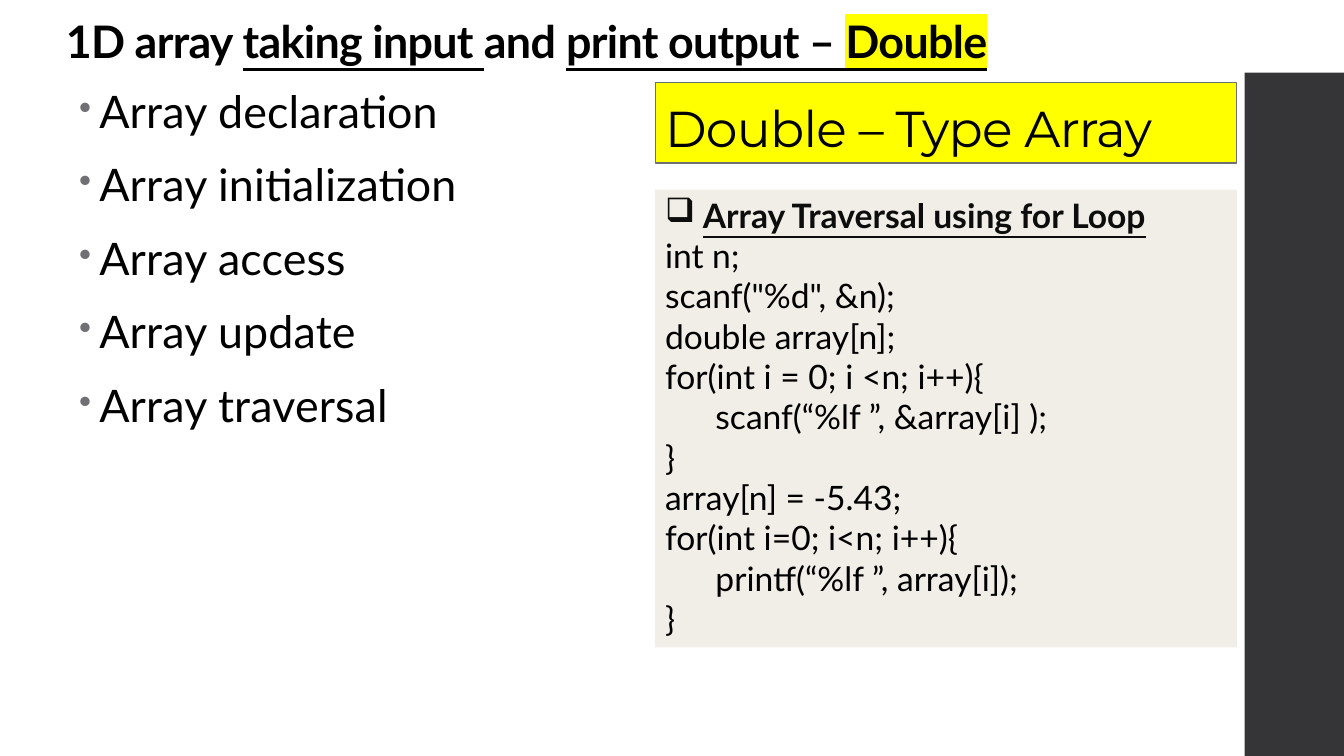
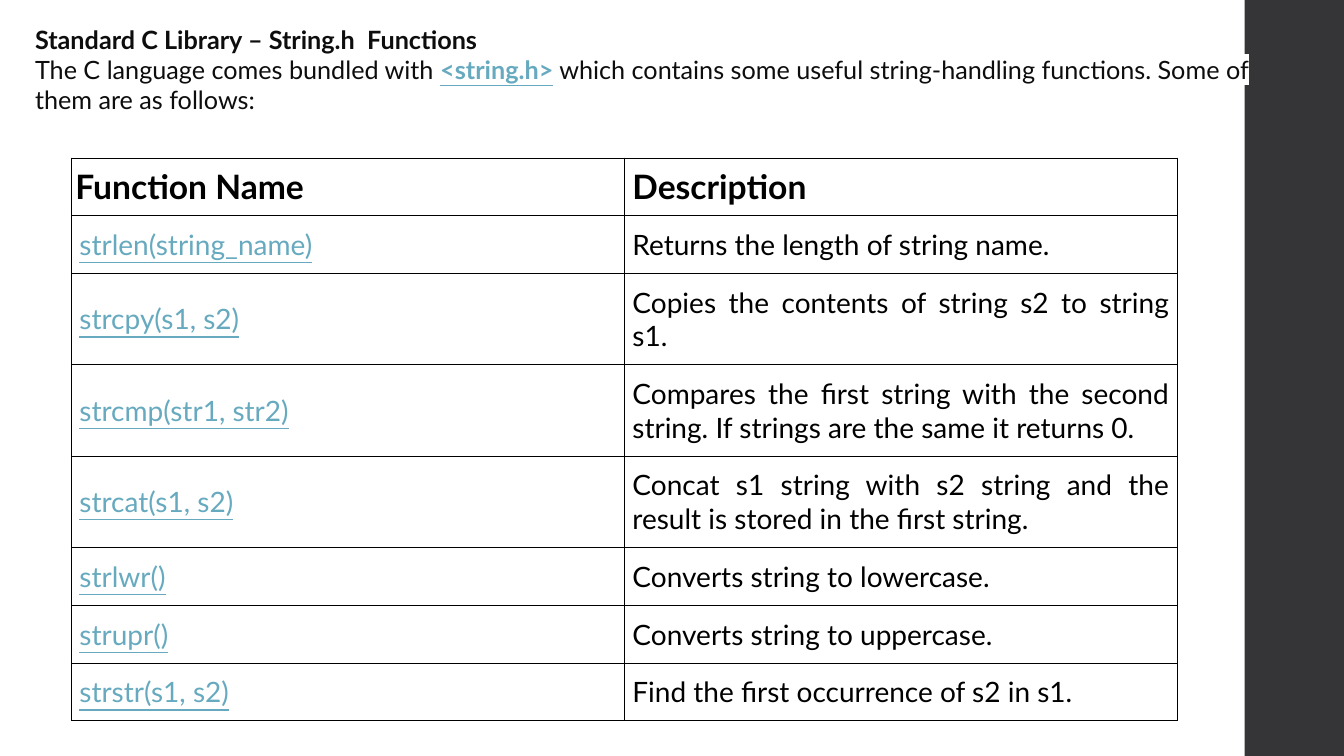
from collections.abc import Sequence
from dataclasses import dataclass, replace

from lxml.etree import SubElement
from pptx import Presentation
from pptx.dml.color import RGBColor
from pptx.enum.shapes import MSO_SHAPE as Preset
from pptx.enum.text import MSO_ANCHOR as Anchor, PP_ALIGN as Align
from pptx.oxml import parse_xml
from pptx.oxml.ns import nsdecls, qn
from pptx.util import Pt


@dataclass(frozen=True)
class Theme:
    text_font: str = "Lato"
    banner_font: str = "Montserrat"
    black: str = "000000"
    ink: str = "0D0D0D"
    white: str = "FFFFFF"
    sidebar: str = "353537"
    panel: str = "F1EDE7"
    yellow: str = "FFFF00"
    gray: str = "6F6F74"
    link: str = "67AABF"
    banner_size: float = 36
    title_size: float = 32
    code_size: float = 24
    cell_size: float = 20
    intro_size: float = 18


THEME = Theme()
PAGE_WIDTH, PAGE_HEIGHT = 960, 540


@dataclass(frozen=True)
class Area:
    left: float
    top: float
    width: float
    height: float

    def lengths(self) -> tuple[Pt, Pt, Pt, Pt]:
        return Pt(self.left), Pt(self.top), Pt(self.width), Pt(self.height)


@dataclass(frozen=True)
class Span:
    text: str
    size: float
    color: str = THEME.black
    bold: bool = False
    underline: bool = False
    highlight: str = ""
    spacing: float = 0
    font: str = THEME.text_font


@dataclass(frozen=True)
class Bullet:
    char: str
    indent: float
    color: str = ""
    percent: int = 100


@dataclass(frozen=True)
class Line:
    spans: Sequence[Span]
    bullet: Bullet | None = None
    line_spacing: float = 1.0
    before: float = 0
    after: float = 0
    tab: float = 0
    align: Align = Align.LEFT


@dataclass(frozen=True)
class LibraryFunction:
    call: str
    description: str
    text_lines: int = 1


SIDEBAR = Area(889, 0, 71, PAGE_HEIGHT)
TITLE_BAND = Area(40, 0, 920, 52)
TOPICS_AREA = Area(49.5, 59, 677, 343)
BANNER_AREA = Area(468, 59, 415.5, 57.5)
CODE_AREA = Area(468, 135.5, 415.5, 327)
INTRO_AREA = Area(18, 13.5, 883.5, 73)
TABLE_AREA = Area(51, 113, 790, 400)
ROW_HEIGHT, EXTRA_LINE = 41, 24

TOPICS = ("declaration", "initialization", "access", "update", "traversal")
CODE = """int n;
scanf("%d", &n);
double array[n];
for(int i = 0; i <n; i++){
\tscanf(“%lf ”, &array[i] );
}
array[n] = -5.43;
for(int i=0; i<n; i++){
\tprintf(“%lf ”, array[i]);
}"""
FUNCTIONS = (
    LibraryFunction("strlen(string_name)", "Returns the length of string name."),
    LibraryFunction("strcpy(s1, s2)", "Copies the contents of string s2 to string s1.", 2),
    LibraryFunction(
        "strcmp(str1, str2)",
        "Compares the first string with the second string. If strings are the same it returns 0.",
        2,
    ),
    LibraryFunction(
        "strcat(s1, s2)",
        "Concat s1 string with s2 string and the result is stored in the first string.",
        2,
    ),
    LibraryFunction("strlwr()", "Converts string to lowercase."),
    LibraryFunction("strupr()", "Converts string to uppercase."),
    LibraryFunction("strstr(s1, s2)", "Find the first occurrence of s2 in s1."),
)


def rgb(color: str) -> RGBColor:
    return RGBColor.from_string(color)


def add_bullet(paragraph, bullet: Bullet) -> None:
    properties = paragraph._p.get_or_add_pPr()
    properties.set("marL", str(Pt(bullet.indent)))
    properties.set("indent", str(-Pt(bullet.indent)))
    if bullet.color:
        color = SubElement(properties, qn("a:buClr"))
        SubElement(color, qn("a:srgbClr"), val=bullet.color)
    SubElement(properties, qn("a:buSzPct"), val=str(bullet.percent * 1000))
    SubElement(properties, qn("a:buChar"), char=bullet.char)


def add_tab_stop(paragraph, position: float) -> None:
    tabs = SubElement(paragraph._p.get_or_add_pPr(), qn("a:tabLst"))
    SubElement(tabs, qn("a:tab"), pos=str(Pt(position)), algn="l")


def add_span(paragraph, span: Span) -> None:
    run = paragraph.add_run()
    run.text = span.text
    font = run.font
    font.name, font.size = span.font, Pt(span.size)
    font.bold, font.underline = span.bold, span.underline
    font.color.rgb = rgb(span.color)
    properties = run._r.get_or_add_rPr()
    if span.spacing:
        properties.set("spc", str(round(span.spacing * 100)))
    if span.highlight:
        properties.find(qn("a:latin")).addprevious(parse_xml(
            f'<a:highlight {nsdecls("a")}><a:srgbClr val="{span.highlight}"/></a:highlight>'
        ))


def write_lines(frame, lines: Sequence[Line]) -> None:
    for index, line in enumerate(lines):
        paragraph = frame.add_paragraph() if index else frame.paragraphs[0]
        if line.bullet:
            add_bullet(paragraph, line.bullet)
        if line.tab:
            add_tab_stop(paragraph, line.tab)
        paragraph.alignment = line.align
        paragraph.line_spacing = line.line_spacing
        paragraph.space_before = Pt(line.before if index else 0)
        paragraph.space_after = Pt(line.after)
        for span in line.spans:
            add_span(paragraph, span)


def add_text(page, area: Area, lines: Sequence[Line]) -> None:
    frame = page.shapes.add_textbox(*area.lengths()).text_frame
    frame.word_wrap = True
    write_lines(frame, lines)


def add_panel(
    page,
    area: Area,
    fill: str,
    lines: Sequence[Line] = (),
    anchor: Anchor = Anchor.TOP,
    outline: str = "",
) -> None:
    """Draw a filled rectangle, with text and an outline when given."""
    panel = page.shapes.add_shape(Preset.RECTANGLE, *area.lengths())
    panel.shadow.inherit = False
    panel.fill.solid()
    panel.fill.fore_color.rgb = rgb(fill)
    if outline:
        panel.line.color.rgb = rgb(outline)
        panel.line.width = Pt(0.75)
    else:
        panel.line.fill.background()
    panel.text_frame.word_wrap = True
    panel.text_frame.vertical_anchor = anchor
    write_lines(panel.text_frame, lines)


def add_page(deck):
    """Add a blank page with the dark band on its right edge."""
    page = deck.slides.add_slide(deck.slide_layouts[6])
    add_panel(page, SIDEBAR, THEME.sidebar)
    return page


def write_cell(cell, span: Span, side: float, vertical: float) -> None:
    cell.margin_left = cell.margin_right = Pt(side)
    cell.margin_top = cell.margin_bottom = Pt(vertical)
    cell.vertical_anchor = Anchor.MIDDLE
    write_lines(cell.text_frame, [Line([span], align=Align.JUSTIFY)])
    properties = cell._tc.get_or_add_tcPr()
    for edge in ("lnL", "lnR", "lnT", "lnB"):
        border = SubElement(properties, qn(f"a:{edge}"), w=str(Pt(1)))
        fill = SubElement(border, qn("a:solidFill"))
        SubElement(fill, qn("a:srgbClr"), val=THEME.black)
    cell.fill.solid()
    cell.fill.fore_color.rgb = rgb(THEME.white)


def add_function_table(page) -> None:
    table = page.shapes.add_table(len(FUNCTIONS) + 1, 2, *TABLE_AREA.lengths()).table
    table.first_row = table.horz_banding = False
    for column in table.columns:
        column.width = Pt(TABLE_AREA.width / 2)
    table.rows[0].height = Pt(ROW_HEIGHT)
    heading = Span("Function Name", THEME.code_size, bold=True)
    write_cell(table.cell(0, 0), heading, 2.88, 5.76)
    write_cell(table.cell(0, 1), replace(heading, text="Description"), 5.76, 5.76)
    for row, function in enumerate(FUNCTIONS, 1):
        table.rows[row].height = Pt(ROW_HEIGHT + EXTRA_LINE * (function.text_lines - 1))
        call = Span(function.call, THEME.cell_size, THEME.link, underline=True)
        write_cell(table.cell(row, 0), call, 5.76, 8.64)
        write_cell(table.cell(row, 1), Span(function.description, THEME.cell_size), 5.76, 8.64)


def build_array_page(deck) -> None:
    page = add_page(deck)
    plain = Span("1D array ", THEME.title_size, bold=True, spacing=-0.5)
    marked = replace(plain, underline=True)
    title = Line(
        [
            plain,
            replace(marked, text="taking input "),
            replace(plain, text="and "),
            replace(marked, text="print output – "),
            replace(marked, text="Double", highlight=THEME.yellow),
        ],
        line_spacing=0.9,
    )
    add_panel(page, TITLE_BAND, THEME.white, [title], Anchor.BOTTOM)

    dot = Bullet("•", 14.4, THEME.gray, 80)
    add_text(page, TOPICS_AREA, [
        Line([Span(f"Array {topic}", THEME.title_size, spacing=0.1)], dot, 0.95, 14, 2)
        for topic in TOPICS
    ])

    heading = Span("Array Traversal using for Loop", THEME.code_size, THEME.ink, True, True)
    code = [Line([Span(text, THEME.code_size)], tab=36) for text in CODE.splitlines()]
    add_panel(page, CODE_AREA, THEME.panel, [Line([heading], Bullet("❑", 27)), *code])

    banner = Span(
        "Double – Type Array", THEME.banner_size, spacing=-0.5, font=THEME.banner_font
    )
    add_panel(
        page, BANNER_AREA, THEME.yellow, [Line([banner], line_spacing=0.9)],
        Anchor.BOTTOM, THEME.gray,
    )


def build_library_page(deck) -> None:
    page = add_page(deck)
    plain = Span(
        "The C language comes bundled with ", THEME.intro_size, THEME.ink,
        highlight=THEME.white,
    )
    bold = replace(plain, text="Standard C Library – String.h  Functions", bold=True)
    header = replace(bold, text="<string.h>", color=THEME.link, underline=True)
    ending = replace(
        plain,
        text=" which contains some useful string-handling functions. "
        "Some of them are as follows:",
    )
    add_text(page, INTRO_AREA, [Line([bold]), Line([plain, header, ending])])
    add_function_table(page)


def main() -> None:
    deck = Presentation()
    deck.slide_width, deck.slide_height = Pt(PAGE_WIDTH), Pt(PAGE_HEIGHT)
    build_array_page(deck)
    build_library_page(deck)
    deck.save("out.pptx")


if __name__ == "__main__":
    main()
